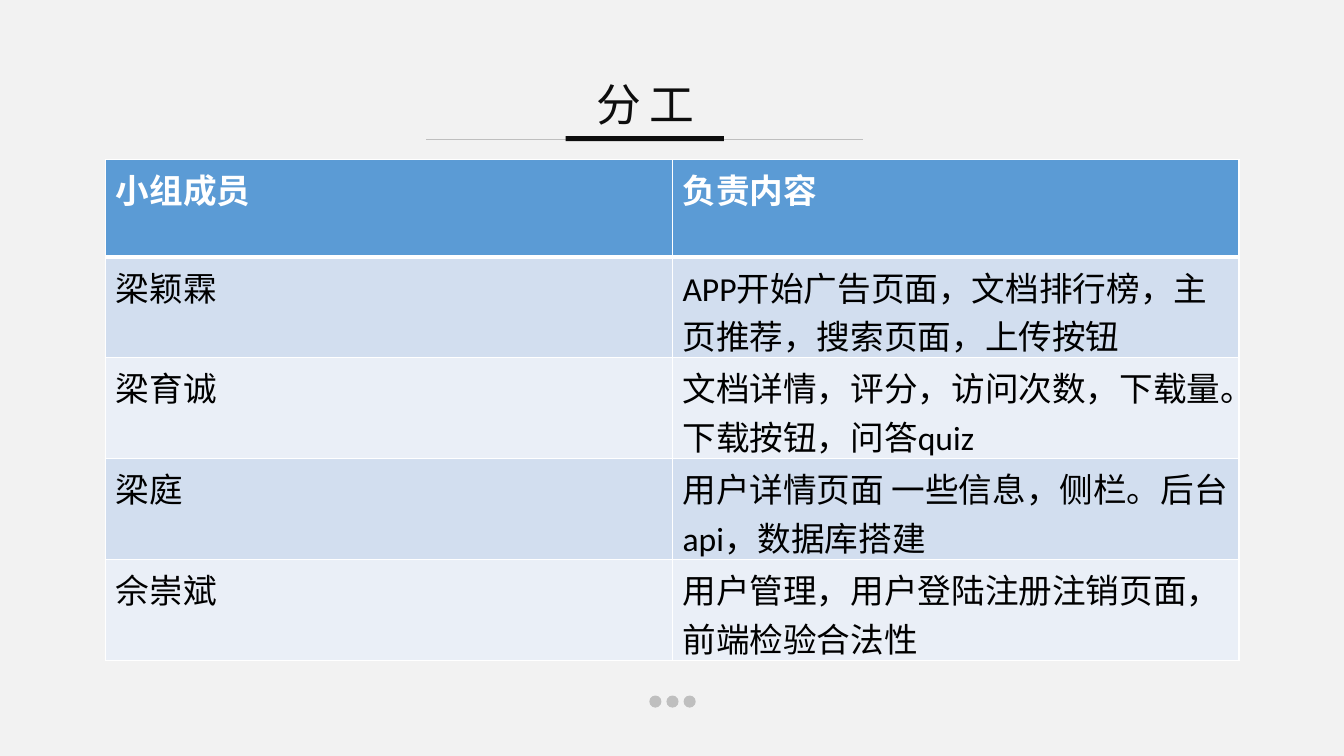
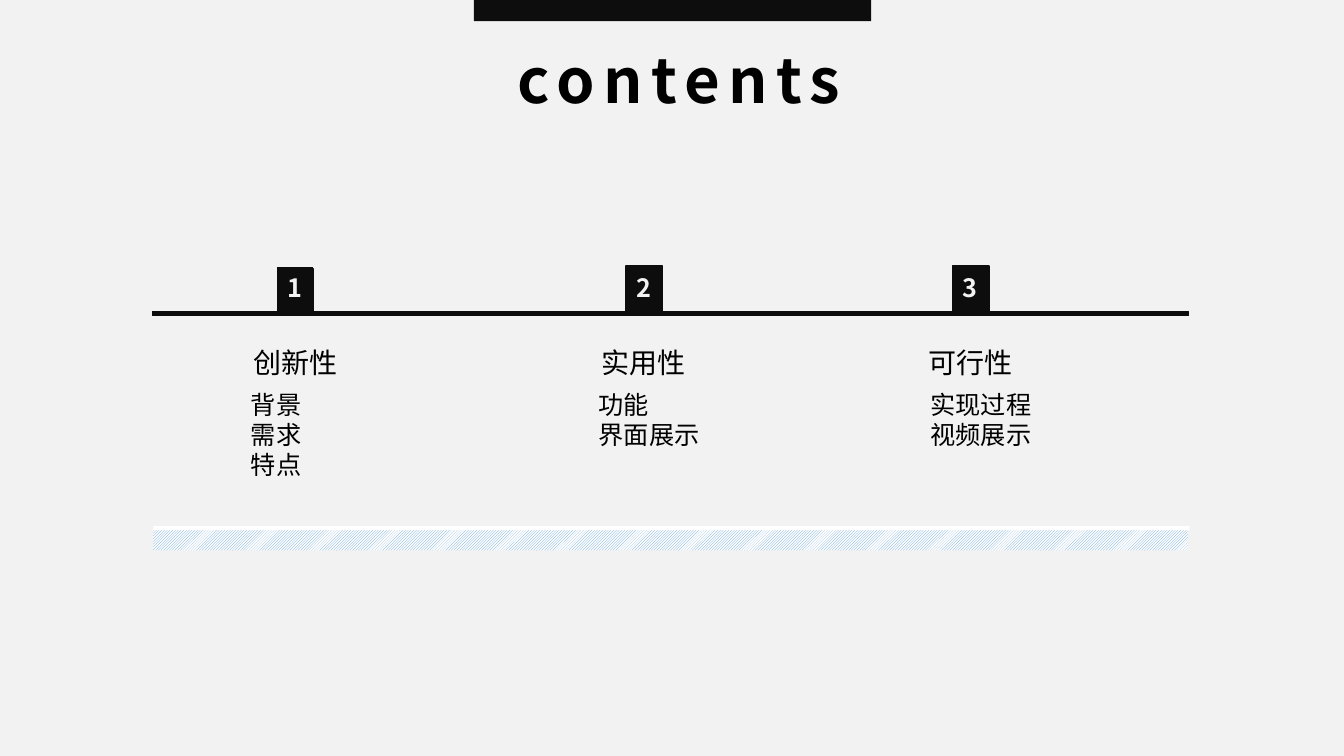
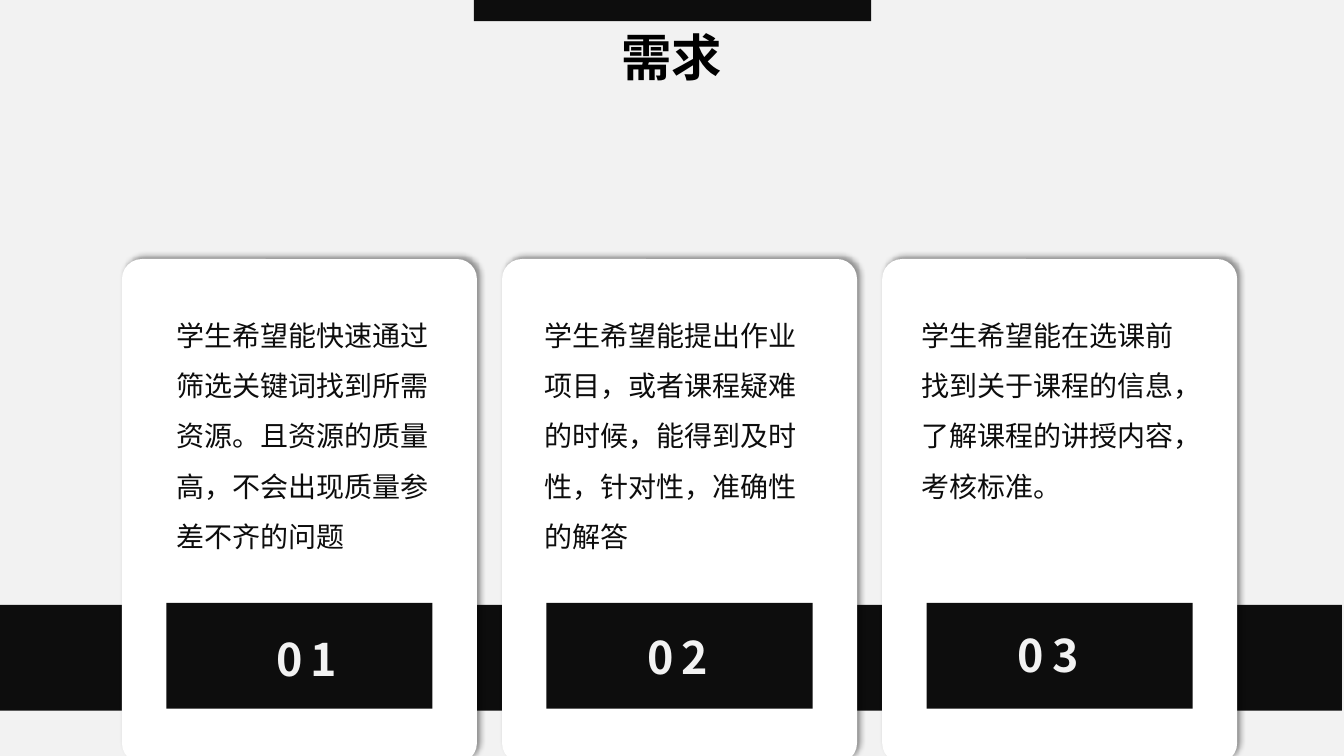
from lxml.etree import SubElement
from pptx import Presentation
from pptx.dml.color import RGBColor
from pptx.enum.dml import MSO_PATTERN
from pptx.enum.shapes import MSO_CONNECTOR, MSO_SHAPE
from pptx.enum.text import MSO_ANCHOR, MSO_AUTO_SIZE, PP_ALIGN
from pptx.oxml.ns import qn
from pptx.util import Inches, Pt

# Shared look
INK, BLACK, WHITE, PAPER = "0D0D0D", "000000", "FFFFFF", "F2F2F2"
GREY, BLUE, BLUE_MID, BLUE_PALE = "BFBFBF", "5B9BD5", "D2DEEF", "EAEFF7"
TITLE_FONT, BODY_FONT, TABLE_FONT = "Noto Sans CJK JP", "Noto Sans CJK SC", "Calibri"

# Content
TEAM_TITLE = "分工"
TEAM_ROWS = [
    ("小组成员", "负责内容"),
    ("梁颖霖", "APP开始广告页面，文档排行榜，主页推荐，搜索页面，上传按钮"),
    ("梁育诚", "文档详情，评分，访问次数，下载量。下载按钮，问答quiz"),
    ("梁庭", "用户详情页面 一些信息，侧栏。后台api，数据库搭建"),
    ("佘崇斌", "用户管理，用户登陆注册注销页面，前端检验合法性"),
]
CONTENTS_TITLE = "contents"
# number, marker left, marker top, heading, heading left and width, topics, topics left and width
CHAPTERS = [
    ("1", 2.75, 2.67, "创新性", 2.33, 1.21, ["背景", "需求", "特点"], 2.39, 1.09),
    ("2", 6.21, 2.64, "实用性", 5.74, 1.28, ["功能", "界面展示"], 5.84, 1.39),
    ("3", 9.45, 2.64, "可行性", 8.93, 1.39, ["实现过程", "视频展示"], 9.13, 1.26),
]
NEEDS_TITLE = "需求"
# number, number left and top, text, text left
NEEDS = [
    ("01", 2.64, 6.22, "学生希望能快速通过筛选关键词找到所需资源。且资源的质量高，不会出现质量参差不齐的问题", 1.65),
    ("02", 6.32, 6.2, "学生希望能提出作业项目，或者课程疑难的时候，能得到及时性，针对性，准确性的解答", 5.3),
    ("03", 9.99, 6.18, "学生希望能在选课前找到关于课程的信息，了解课程的讲授内容，考核标准。", 9.04),
]


def color(value):
    return RGBColor.from_string(value)


def new_page(deck):
    page = deck.slides.add_slide(deck.slide_layouts[6])
    page.background.fill.solid()
    page.background.fill.fore_color.rgb = color(PAPER)
    return page


def add_block(page, left, top, width, height, fill=INK, kind=MSO_SHAPE.RECTANGLE,
              line_width=None, corner=None):
    block = page.shapes.add_shape(kind, Inches(left), Inches(top), Inches(width), Inches(height))
    block.shadow.inherit = False
    block.fill.solid()
    block.fill.fore_color.rgb = color(fill)
    if line_width:
        block.line.color.rgb = color(fill)
        block.line.width = Pt(line_width)
    else:
        block.line.fill.background()
    if corner is not None:
        block.adjustments[0] = corner
    return block


def style_paragraph(para, size, ink, font=BODY_FONT, bold=False, align=PP_ALIGN.LEFT,
                    tracking=0, spacing=None):
    para.alignment = align
    para.line_spacing = spacing
    para.font.size, para.font.bold, para.font.name = Pt(size), bold, font
    para.font.color.rgb = color(ink)
    # East Asian typeface and letter spacing
    props = para._p.pPr.find(qn("a:defRPr"))
    east_asian = BODY_FONT if font == TABLE_FONT else font
    SubElement(props, qn("a:ea")).set("typeface", east_asian)
    if tracking:
        props.set("spc", str(tracking * 100))


def write(shape, lines, size, ink, wrap=True, **style):
    frame = shape.text_frame
    frame.word_wrap = wrap
    frame.auto_size = MSO_AUTO_SIZE.SHAPE_TO_FIT_TEXT
    frame.vertical_anchor = MSO_ANCHOR.TOP
    frame.text = "\n".join(lines)
    for para in frame.paragraphs:
        style_paragraph(para, size, ink, **style)


def add_text(page, left, top, width, height, lines, size, ink=BLACK, **style):
    box = page.shapes.add_textbox(Inches(left), Inches(top), Inches(width), Inches(height))
    write(box, lines, size, ink, **style)


def add_title(page, left, top, width, height, text, size, ink=BLACK, **style):
    add_text(page, left, top, width, height, [text], size, ink, font=TITLE_FONT,
             align=PP_ALIGN.CENTER, **style)


def add_top_band(page):
    add_block(page, 4.7, 0, 3.94, 0.21)


def set_borders(cell, bottom):
    props = cell._tc.get_or_add_tcPr()
    for index, (side, width) in enumerate([("L", 1), ("R", 1), ("T", 1), ("B", bottom)]):
        edge = props.makeelement(qn(f"a:ln{side}"), {"w": str(Pt(width))})
        fill = SubElement(edge, qn("a:solidFill"))
        SubElement(fill, qn("a:srgbClr")).set("val", WHITE)
        props.insert(index, edge)


def add_card_shadow(card):
    effects = card._element.spPr.find(qn("a:effectLst"))
    shadow = SubElement(effects, qn("a:outerShdw"), blurRad=str(Pt(4)), dist=str(Pt(3)),
                        dir=str(315 * 60000), algn="bl", rotWithShape="0")
    tone = SubElement(shadow, qn("a:srgbClr"), val=BLACK)
    SubElement(tone, qn("a:alpha"), val="40000")


def build_team(deck):
    page = new_page(deck)
    add_title(page, 5.02, 0.71, 2.76, 0.64, TEAM_TITLE, 32, INK, tracking=6)
    # Title rule
    rule = page.shapes.add_connector(MSO_CONNECTOR.STRAIGHT, Inches(4.23), Inches(1.38),
                                     Inches(8.56), Inches(1.38))
    rule.line.color.rgb = color(GREY)
    rule.line.width = Pt(0.5)
    SubElement(rule._element.spPr, qn("a:effectLst"))
    add_block(page, 5.61, 1.35, 1.57, 0.05)
    # Footer dots
    for index in range(3):
        add_block(page, 6.44 + index * 0.17, 6.9, 0.12, 0.12, GREY, MSO_SHAPE.OVAL)
    # Table
    table = page.shapes.add_table(len(TEAM_ROWS), 2, Inches(1.05), Inches(1.58),
                                  Inches(11.24), Inches(4.99)).table
    for row_index, texts in enumerate(TEAM_ROWS):
        header = row_index == 0
        table.rows[row_index].height = Inches(0.97 if header else 1)
        fill = BLUE if header else (BLUE_PALE, BLUE_MID)[row_index % 2]
        for column_index, text in enumerate(texts):
            cell = table.cell(row_index, column_index)
            cell.text = text
            style_paragraph(cell.text_frame.paragraphs[0], 24, WHITE if header else BLACK,
                            font=TABLE_FONT, bold=header)
            cell.fill.solid()
            cell.fill.fore_color.rgb = color(fill)
            set_borders(cell, 3 if header else 1)


def build_contents(deck):
    page = new_page(deck)
    # Hatched strip with its white edge
    strip = add_block(page, 1.52, 5.24, 10.26, 0.22)
    strip.fill.patterned()
    strip.fill.pattern = MSO_PATTERN.LIGHT_UPWARD_DIAGONAL
    strip.fill.fore_color.rgb = color(BLUE)
    strip.fill.back_color.rgb = color(WHITE)
    add_block(page, 1.52, 5.22, 10.28, 0.04, WHITE)
    add_top_band(page)
    add_title(page, 4.87, 0.37, 3.73, 0.84, CONTENTS_TITLE, 44, bold=True, tracking=6, wrap=False)
    # Timeline
    add_block(page, 1.51, 3.09, 10.28, 0.04, line_width=1)
    for (number, left, top, heading, heading_left, heading_width,
         topics, topics_left, topics_width) in CHAPTERS:
        add_block(page, left, top, 0.36, 0.45, line_width=1)
        label = add_block(page, left, 2.65, 0.35, 0.4, line_width=0.75)
        write(label, [number], 18, PAPER, bold=True)
        add_text(page, heading_left, 3.38, heading_width, 0.44, [heading], 20,
                 align=PP_ALIGN.CENTER)
        add_text(page, topics_left, 3.81, topics_width, 0.3 * len(topics) + 0.1, topics, 18)


def build_needs(deck):
    page = new_page(deck)
    add_block(page, 0, 6, 13.31, 1.05)
    add_top_band(page)
    add_title(page, 6.06, 0.21, 1.2, 0.71, NEEDS_TITLE, 36, bold=True, wrap=False)
    # Cards
    for index, (number, number_left, number_top, text, text_left) in enumerate(NEEDS):
        left = 1.21 + index * 3.77
        card = add_block(page, left, 2.57, 3.52, 5, WHITE, MSO_SHAPE.ROUNDED_RECTANGLE,
                         corner=0.056)
        add_card_shadow(card)
        for offset in (0.39, 2.93):
            add_block(page, left + offset, 5.86, 0.18, 1.26, WHITE,
                      MSO_SHAPE.ROUNDED_RECTANGLE, corner=0.5)
        add_block(page, left + 0.44, 5.98, 2.64, 1.05)
        add_text(page, number_left, number_top, 0.98, 0.64, [number], 32, PAPER,
                 font=TITLE_FONT, bold=True, tracking=6)
        add_text(page, text_left, 2.94, 2.88, 2.62, [text], 20, INK, spacing=1.5)


def main():
    deck = Presentation()
    deck.slide_width, deck.slide_height = Inches(13.33), Inches(7.5)
    build_team(deck)
    build_contents(deck)
    build_needs(deck)
    deck.save("out.pptx")


if __name__ == "__main__":
    main()
